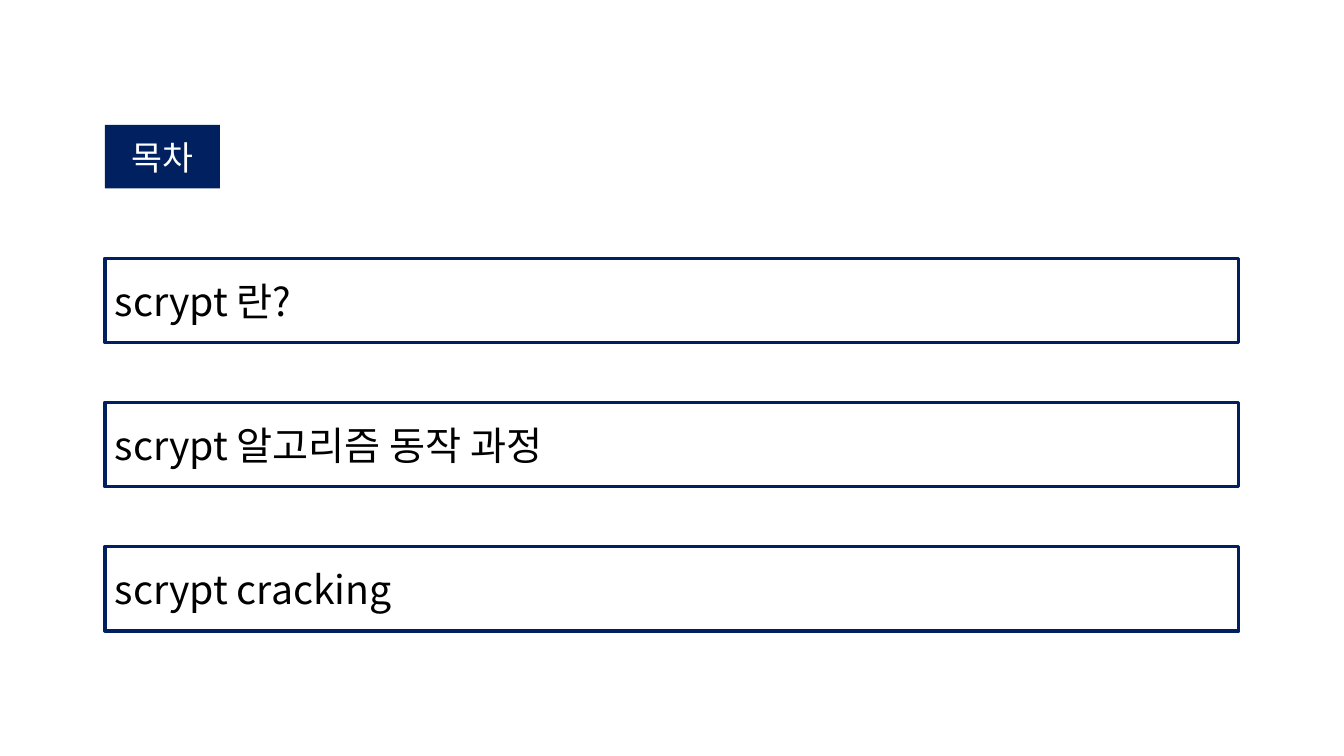
"""Build the table of contents slide: a filled heading tag above three outlined entries."""

from dataclasses import dataclass
from typing import Optional

from pptx import Presentation
from pptx.dml.color import RGBColor
from pptx.enum.shapes import MSO_SHAPE
from pptx.enum.text import MSO_ANCHOR, PP_ALIGN
from pptx.slide import Slide
from pptx.util import Inches, Pt

SLIDE_WIDTH = Inches(13.33)
SLIDE_HEIGHT = Inches(7.5)
COLUMN = SLIDE_WIDTH / 128
ROW = SLIDE_HEIGHT / 72


@dataclass(frozen=True)
class Theme:
    font: str = "Noto Sans CJK KR"
    navy: RGBColor = RGBColor(0x00, 0x20, 0x60)
    black: RGBColor = RGBColor(0x00, 0x00, 0x00)
    white: RGBColor = RGBColor(0xFF, 0xFF, 0xFF)
    heading_size: Pt = Pt(24)
    entry_size: Pt = Pt(28)
    border: Pt = Pt(2.25)


THEME = Theme()


@dataclass(frozen=True)
class BoxStyle:
    fill: Optional[RGBColor]
    line: Optional[RGBColor]
    color: RGBColor
    size: Pt
    alignment: PP_ALIGN


HEADING = BoxStyle(THEME.navy, None, THEME.white, THEME.heading_size, PP_ALIGN.CENTER)
ENTRY = BoxStyle(None, THEME.navy, THEME.black, THEME.entry_size, PP_ALIGN.LEFT)


@dataclass(frozen=True)
class LabelBox:
    text: str
    column: float
    row: float
    columns: float
    rows: float
    style: BoxStyle


LEFT_COLUMN = 10
FIRST_ENTRY_ROW = 24.58
ENTRY_STEP = 13.73
ENTRY_TEXTS = ("scrypt 란?", "scrypt 알고리즘 동작 과정", "scrypt cracking")

LABEL_BOXES = [
    *(
        LabelBox(text, LEFT_COLUMN, FIRST_ENTRY_ROW + index * ENTRY_STEP, 108, 8.06, ENTRY)
        for index, text in enumerate(ENTRY_TEXTS)
    ),
    LabelBox("목차", LEFT_COLUMN, 11.9, 10.95, 6.05, HEADING),
]


def draw_label_box(page: Slide, label: LabelBox) -> None:
    style = label.style
    box = page.shapes.add_shape(
        MSO_SHAPE.RECTANGLE,
        round(label.column * COLUMN),
        round(label.row * ROW),
        round(label.columns * COLUMN),
        round(label.rows * ROW),
    )
    box.shadow.inherit = False
    if style.fill is None:
        box.fill.background()
    else:
        box.fill.solid()
        box.fill.fore_color.rgb = style.fill
    if style.line is None:
        box.line.fill.background()
    else:
        box.line.color.rgb = style.line
        box.line.width = THEME.border
    frame = box.text_frame
    frame.word_wrap = True
    frame.vertical_anchor = MSO_ANCHOR.MIDDLE
    para = frame.paragraphs[0]
    para.alignment = style.alignment
    para.font.name = THEME.font
    para.font.size = style.size
    para.font.color.rgb = style.color
    para.add_run().text = label.text


def main() -> None:
    deck = Presentation()
    deck.slide_width = SLIDE_WIDTH
    deck.slide_height = SLIDE_HEIGHT
    page = deck.slides.add_slide(deck.slide_layouts[6])
    for label in LABEL_BOXES:
        draw_label_box(page, label)
    deck.save("out.pptx")


if __name__ == "__main__":
    main()
